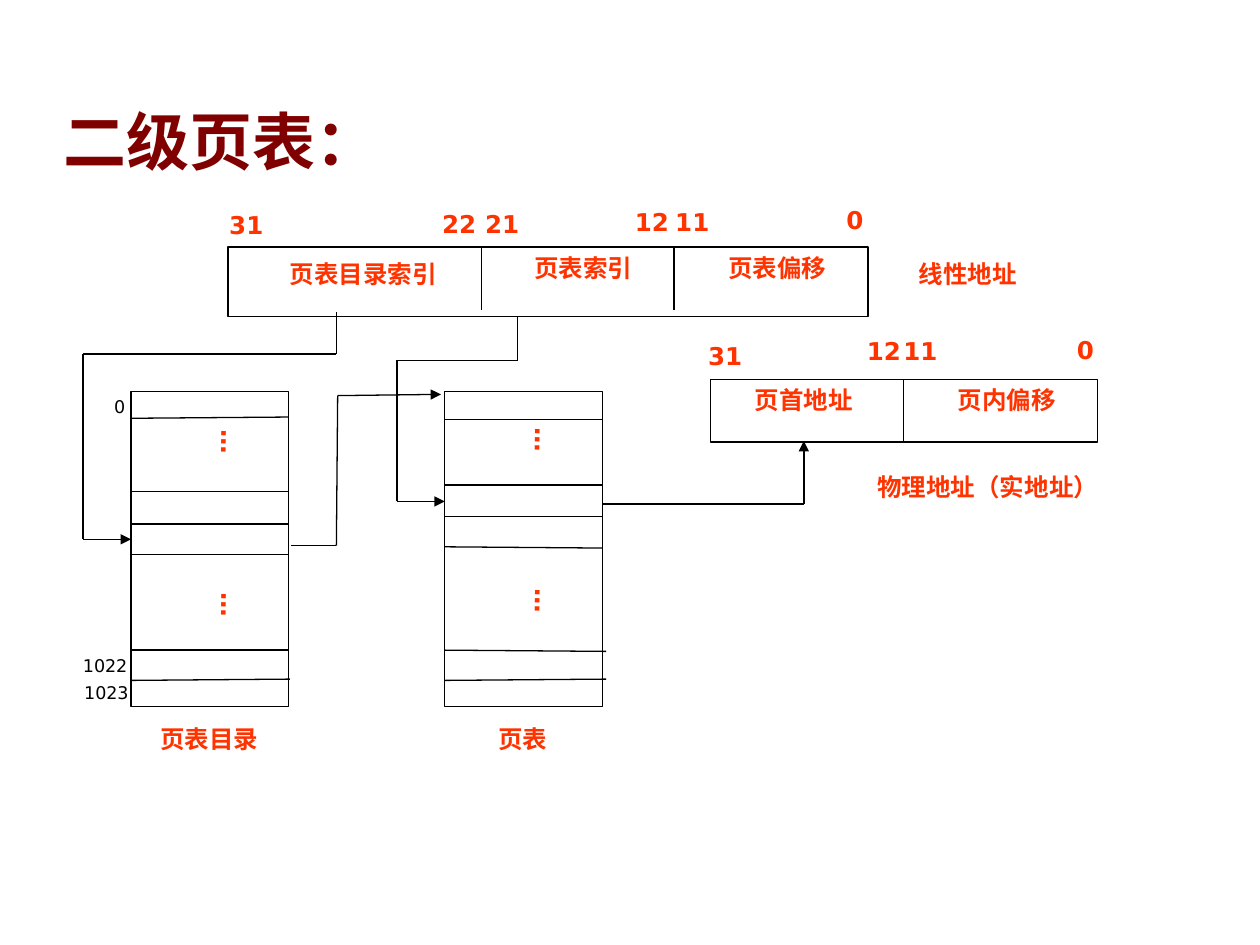
from itertools import pairwise
from lxml.etree import SubElement
from pptx import Presentation
from pptx.dml.color import RGBColor
from pptx.enum.shapes import MSO_CONNECTOR as Connector, MSO_SHAPE as Shape
from pptx.enum.text import MSO_ANCHOR as Anchor, PP_ALIGN as Align
from pptx.oxml.ns import qn
from pptx.util import Inches, Pt

BLACK, RED, MAROON = "000000", "FF3300", "800000"
LATIN, CJK = "DejaVu Sans", "Noto Sans CJK SC"
HEADING = "二级页表："

ADDRESSES = [
    {"box": (1.81, 1.96, 5.08, 0.55), "splits": [3.82, 5.35], "split_height": 0.5},
    {"box": (5.64, 3.01, 3.07, 0.5), "splits": [7.17], "split_height": 0.49},
]

TABLE_TOP, TABLE_WIDTH, TABLE_HEIGHT = 3.11, 1.25, 2.5
TABLES = [
    {"left": 1.04, "overhang": 0.01,
     "rows": [(3.32, 3.31), (3.9, 3.9), (4.16, 4.16), (4.4, 4.4), (5.16, 5.16), (5.4, 5.39)]},
    {"left": 3.53, "overhang": 0.03,
     "rows": [(3.33, 3.33), (3.85, 3.85), (4.1, 4.1), (4.34, 4.35), (5.16, 5.17), (5.4, 5.39)]},
]
OVERHANGING_ROWS = {0: (5,), 1: (4, 5)}

ROUTES = [
    [(2.67, 2.48), (2.67, 2.81), (0.66, 2.81), (0.66, 4.28), (1.04, 4.28)],
    [(4.11, 2.51), (4.11, 2.86), (3.15, 2.86), (3.15, 3.98), (3.53, 3.98)],
    [(2.31, 4.33), (2.67, 4.33), (2.68, 3.14), (3.5, 3.13)],
    [(4.78, 4), (6.38, 4), (6.38, 3.5)],
]

FIELD_LABELS = [
    ("页表目录索引", 1.9, 2.01, 1.97), ("页表索引", 3.91, 1.96, 1.44),
    ("页表偏移", 5.45, 1.96, 1.44), ("线性地址", 6.89, 2.01, 1.58),
    ("页首地址", 5.83, 3.01, 1.1), ("页内偏移", 7.27, 3.01, 1.44),
    ("物理地址（实地址）", 6.5, 3.7, 2.68),
    ("页表目录", 0.94, 5.7, 1.44), ("页表", 3.72, 5.7, 0.86),
]
BIT_NUMBERS = [
    ("31", 1.69, 1.62), ("22", 3.38, 1.61), ("21", 3.72, 1.61),
    ("12", 4.91, 1.59), ("11", 5.23, 1.59), ("0", 6.52, 1.58),
    ("31", 5.49, 2.66), ("12", 6.75, 2.62), ("11", 7.04, 2.62), ("0", 8.35, 2.61),
]
ROW_NUMBERS = [("0", 0.76, 3.09, 0.38), ("1022", 0.55, 5.15, 0.57), ("1023", 0.56, 5.36, 0.57)]
ELLIPSES = [(1.36, 3.27), (1.36, 4.56), (3.85, 3.25), (3.85, 4.53)]


def color(value):
    return RGBColor.from_string(value)


def apply(target, formats):
    for key, value in formats.items():
        setattr(target, key, value)


def write(frame, text, size, hue, bold, align, latin=LATIN):
    paragraph = frame.paragraphs[0]
    apply(paragraph, {"alignment": align, "space_before": Pt(0)})
    run = paragraph.add_run()
    run.text = text
    apply(run.font, {"name": latin, "size": Pt(size), "bold": bold})
    run.font.color.rgb = color(hue)
    SubElement(run.font._element, qn("a:ea"), typeface=CJK)
    return paragraph


def add_label(text, left, top, width, height=0.5, size=14, hue=RED, bold=True, rotation=0):
    label = slide.shapes.add_textbox(*map(Inches, (left, top, width, height)))
    label.rotation = rotation
    label.text_frame.word_wrap = True
    write(label.text_frame, text, size, hue, bold, Align.CENTER)


def style_line(line):
    line.color.rgb = color(BLACK)
    line.width = Pt(0.75)


def add_box(left, top, width, height):
    box = slide.shapes.add_shape(Shape.RECTANGLE, *map(Inches, (left, top, width, height)))
    box.shadow.inherit = False
    box.fill.background()
    style_line(box.line)


def add_line(start, end, arrow=False):
    segment = slide.shapes.add_connector(Connector.STRAIGHT, *map(Inches, (*start, *end)))
    style_line(segment.line)
    if arrow:
        SubElement(segment.line._get_or_add_ln(), qn("a:tailEnd"), type="triangle")
    SubElement(segment._element.spPr, qn("a:effectLst"))


deck = Presentation()
apply(deck, {"slide_width": Inches(10), "slide_height": Inches(7.5)})
slide = deck.slides.add_slide(deck.slide_layouts[5])

title = slide.shapes.title
apply(title, dict(zip(("left", "top", "width", "height"), map(Inches, (0.4, 0.79, 9.18, 0.68)))))
title.text_frame.vertical_anchor = Anchor.BOTTOM
write(title.text_frame, HEADING, 36, MAROON, True, Align.LEFT, CJK).line_spacing = 0.9

for address in ADDRESSES:
    add_box(*address["box"])
    top = address["box"][1]
    for split in address["splits"]:
        add_line((split, top), (split, top + address["split_height"]))

for index, table in enumerate(TABLES):
    left = table["left"]
    add_box(left, TABLE_TOP, TABLE_WIDTH, TABLE_HEIGHT)
    for row, (start, end) in enumerate(table["rows"]):
        overhang = table["overhang"] if row in OVERHANGING_ROWS[index] else 0
        add_line((left, start), (left + TABLE_WIDTH + overhang, end))

for route in ROUTES:
    for start, end in pairwise(route):
        add_line(start, end, arrow=end == route[-1])

for label in FIELD_LABELS:
    add_label(*label)
for number, left, top in BIT_NUMBERS:
    add_label(number, left, top, 0.53, 0.41)
for number in ROW_NUMBERS:
    add_label(*number, height=0.31, size=10, hue=BLACK, bold=False)
for left, top in ELLIPSES:
    add_label("…", left, top, 0.8, 0.48, rotation=90.8)

deck.save("out.pptx")
